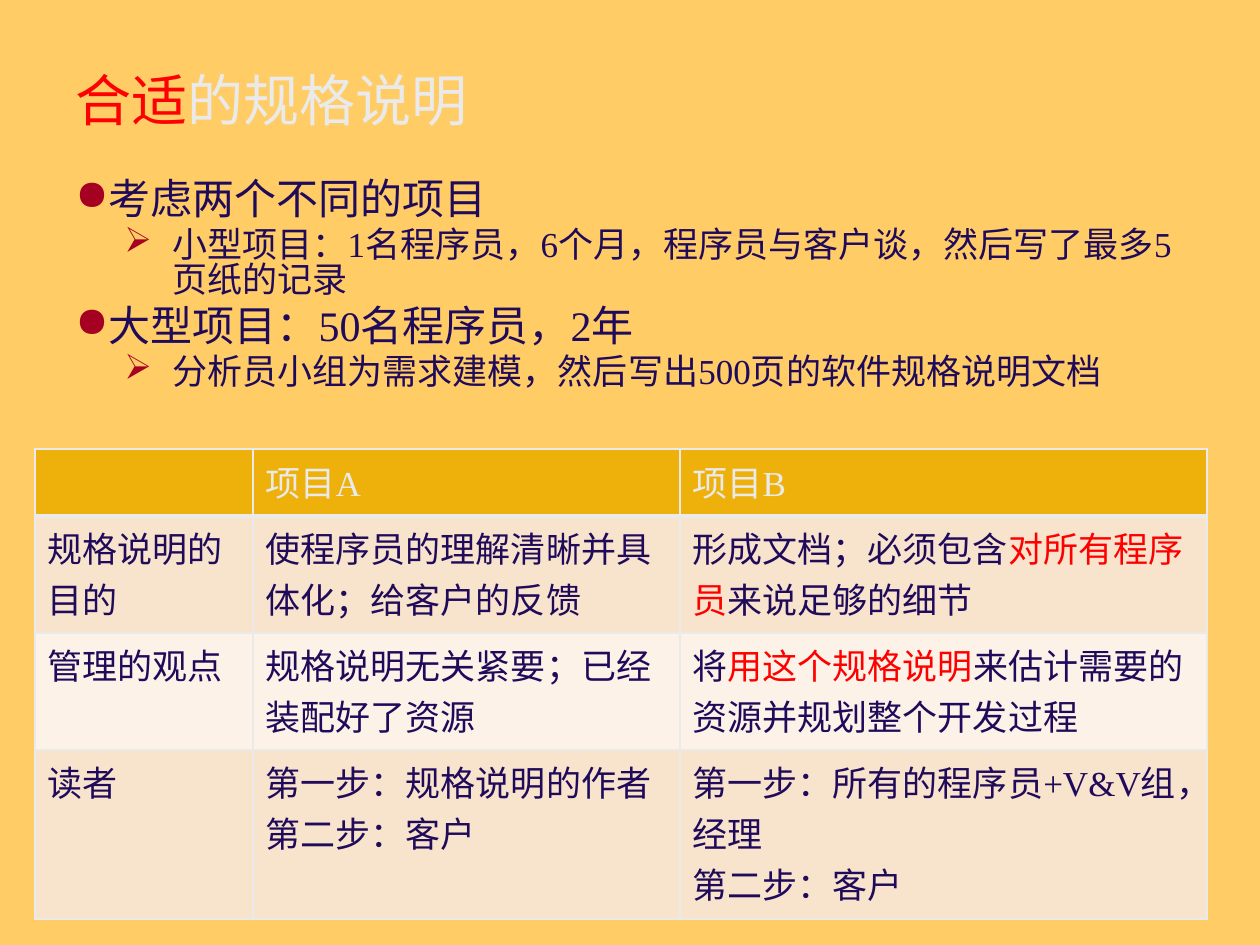
from lxml.etree import SubElement
from pptx import Presentation
from pptx.dml.color import RGBColor
from pptx.enum.text import MSO_ANCHOR, MSO_AUTO_SIZE, PP_ALIGN
from pptx.oxml import parse_xml
from pptx.oxml.ns import nsdecls, qn
from pptx.util import Emu, Pt

SCALE = 914400 // 126
ORANGE = RGBColor(0xFF, 0xCC, 0x66)
GOLD = RGBColor(0xEE, 0xB0, 0x0B)
PEACH = RGBColor(0xF8, 0xE4, 0xCC)
CREAM = RGBColor(0xFC, 0xF2, 0xE7)
PALE = RGBColor(0xEA, 0xEA, 0xEA)
NAVY = RGBColor(0x20, 0x0B, 0x5B)
RED = RGBColor(0xFF, 0x00, 0x00)
CRIMSON = RGBColor(0xA5, 0x00, 0x21)
LATIN, ASIAN = "Times New Roman", "Noto Sans CJK SC"

# Bullet character, left margin, hanging indent, text size
LEVELS = [("●", 0, -48, 24), ("➢", 97, -48, 20)]
POINTS = [
    (0, "考虑两个不同的项目"),
    (1, "小型项目：1名程序员，6个月，程序员与客户谈，然后写了最多5页纸的记录"),
    (0, "大型项目：50名程序员，2年"),
    (1, "分析员小组为需求建模，然后写出500页的软件规格说明文档"),
]
# Each cell is a list of paragraphs; a paragraph is a string or a list of runs
ROWS = [
    [[], ["项目A"], ["项目B"]],
    [["规格说明的目的"],
     ["使程序员的理解清晰并具", "体化；给客户的反馈"],
     [["形成文档；必须包含", ("对所有程序员", RED), "来说足够的细节"]]],
    [["管理的观点"],
     ["规格说明无关紧要；已经", "装配好了资源"],
     [["将", ("用这个规格说明", RED), "来估计需要的资源并规划整个开发过程"]]],
    [["读者"],
     ["第一步：规格说明的作者", "第二步：客户"],
     ["第一步：所有的程序员+V&V组，经理", "第二步：客户"]],
]


def px(n):
    """Turn pixels into EMU."""
    return Emu(round(n * SCALE))


def write(p, text, size=20, color=NAVY, font=LATIN):
    """Add a string, or a list of strings and (string, colour) runs, to p."""
    p.alignment = PP_ALIGN.LEFT
    for part in [text] if isinstance(text, str) else text:
        words, tint = (part, color) if isinstance(part, str) else part
        r = p.add_run()
        r.text = words
        r.font.size = Pt(size)
        r.font.name = font
        r.font.color.rgb = tint
        SubElement(r.font._element, qn("a:ea")).set("typeface", ASIAN)


def add_bullet(p, char, left, indent):
    """Give a paragraph a coloured bullet and its indents."""
    pPr = p._p.get_or_add_pPr()
    pPr.set("marL", str(px(left)))
    pPr.set("indent", str(px(indent)))
    color = SubElement(pPr, qn("a:buClr"))
    SubElement(color, qn("a:srgbClr")).set("val", str(CRIMSON))
    SubElement(pPr, qn("a:buChar")).set("char", char)


def add_borders(cell, top=1, bottom=1):
    """Draw the four borders of a cell."""
    widths = {"L": 1, "R": 1, "T": top, "B": bottom}
    tcPr = cell._tc.get_or_add_tcPr()
    for i, (side, width) in enumerate(widths.items()):
        tcPr.insert(i, parse_xml(
            f'<a:ln{side} {nsdecls("a")} w="{Pt(width)}"><a:solidFill>'
            f'<a:srgbClr val="{PALE}"/></a:solidFill></a:ln{side}>'))


class Deck:
    """Holds the presentation, its style and the current slide."""

    def __init__(self, width, height):
        """Start a deck with one title-only slide."""
        self.prs = Presentation()
        self.prs.slide_width, self.prs.slide_height = px(width), px(height)
        self.s = self.prs.slides.add_slide(self.prs.slide_layouts[5])
        self.s.background.fill.solid()
        self.s.background.fill.fore_color.rgb = ORANGE

    def title(self, runs, x, y, w, h):
        """Place and fill the title."""
        sp = self.s.shapes.title
        sp.left, sp.top, sp.width, sp.height = map(px, (x, y, w, h))
        tf = sp.text_frame
        tf.auto_size = MSO_AUTO_SIZE.NONE
        tf.vertical_anchor = MSO_ANCHOR.MIDDLE
        write(tf.paragraphs[0], runs, size=32, color=PALE, font=ASIAN)

    def bullets(self, points, x, y, w, h):
        """Add a two-level bulleted list."""
        tf = self.s.shapes.add_textbox(*map(px, (x, y, w, h))).text_frame
        tf.word_wrap = True
        for i, (level, text) in enumerate(points):
            char, left, indent, size = LEVELS[level]
            p = tf.add_paragraph() if i else tf.paragraphs[0]
            p.line_spacing = 0.83
            p.space_before = Pt(size * 0.2)
            add_bullet(p, char, left, indent)
            write(p, text, size=size)

    def table(self, rows, x, y, widths, heights):
        """Add a table with a gold header and banded rows."""
        box = map(px, (x, y, sum(widths), sum(heights)))
        tbl = self.s.shapes.add_table(len(rows), len(widths), *box).table
        for col, w in zip(tbl.columns, widths):
            col.width = px(w)
        for i, (row, h) in enumerate(zip(rows, heights)):
            tbl.rows[i].height = px(h)
            fill = GOLD if i == 0 else (PEACH if i % 2 else CREAM)
            for j, paragraphs in enumerate(row):
                cell = tbl.cell(i, j)
                cell.fill.solid()
                cell.fill.fore_color.rgb = fill
                add_borders(cell, 3 if i == 1 else 1, 3 if i == 0 else 1)
                tf = cell.text_frame
                for k, text in enumerate(paragraphs):
                    p = tf.add_paragraph() if k else tf.paragraphs[0]
                    write(p, text, color=NAVY if i else PALE)


deck = Deck(1260, 945)
deck.title([("合适", RED), "的规格说明"], 63, 20, 1134, 158)
deck.bullets(POINTS, 63, 175, 1134, 297)
deck.table(ROWS, 35, 449, [218, 427, 527], [67, 117, 117, 169])
deck.prs.save("out.pptx")
